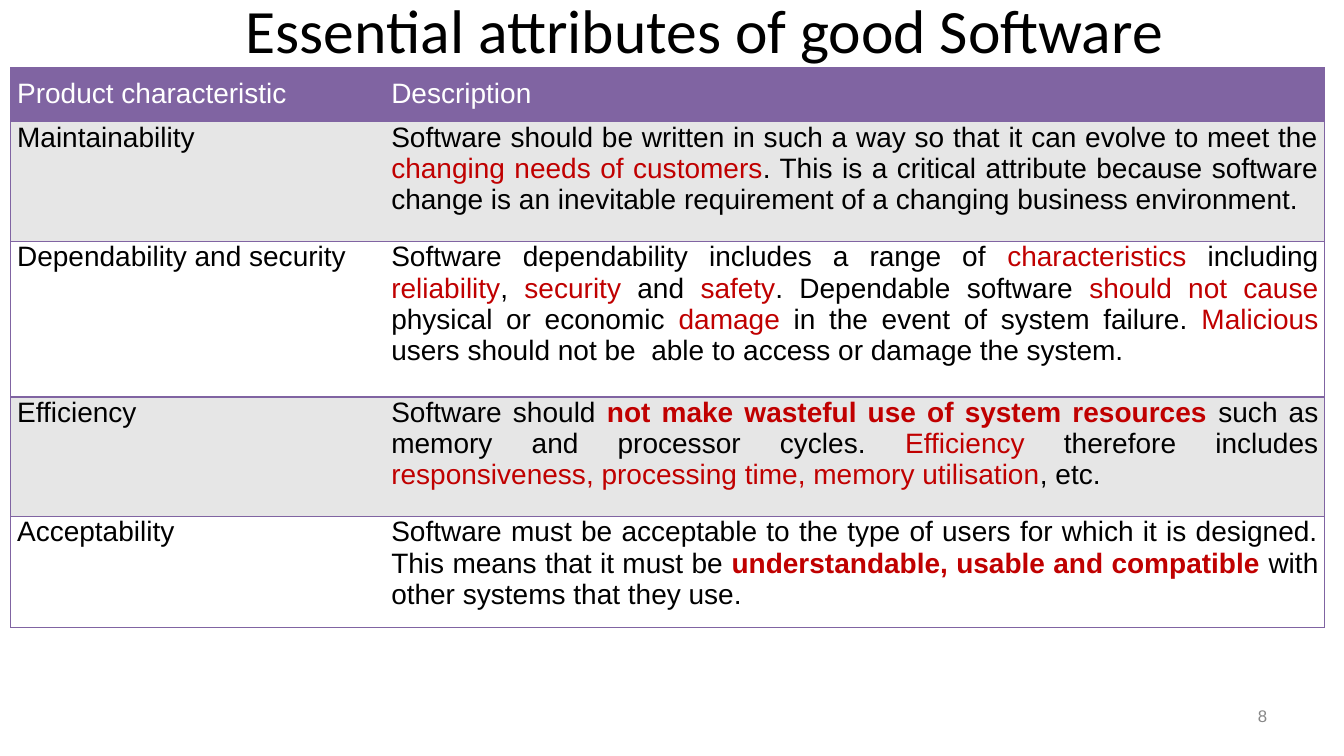
from lxml import etree
from pptx import Presentation
from pptx.dml.color import RGBColor
from pptx.enum.text import MSO_ANCHOR, PP_ALIGN
from pptx.oxml.ns import qn
from pptx.util import Pt

LEFT, CENTER, RIGHT, JUSTIFY = PP_ALIGN.LEFT, PP_ALIGN.CENTER, PP_ALIGN.RIGHT, PP_ALIGN.JUSTIFY
TOP, BOTTOM = MSO_ANCHOR.TOP, MSO_ANCHOR.BOTTOM
BLACK, WHITE, GREY, BAND = "000000", "FFFFFF", "888888", "E6E6E6"
PURPLE, RED = "8064A2", "C00000"

# Characteristic, description with |key phrases|, bold key phrases, row height
ATTRIBUTES = [
    ("Maintainability",
     "Software should be written in such a way so that it can evolve to meet the "
     "|changing needs of customers|. This is a critical attribute because software "
     "change is an inevitable requirement of a changing business environment.",
     False, 85.5),
    ("Dependability and security",
     "Software dependability includes a range of |characteristics| including "
     "|reliability|, |security| and |safety|. Dependable software |should not cause| "
     "physical or economic |damage| in the event of system failure. |Malicious| "
     "users should not be  able to access or damage the system.",
     False, 111),
    ("Efficiency",
     "Software should |not make wasteful use of system resources |such as memory and "
     "processor cycles. |Efficiency| therefore includes "
     "|responsiveness, processing time, memory utilisation|, etc.",
     True, 85.5),
    ("Acceptability",
     "Software must be acceptable to the type of users for which it is designed. "
     "This means that it must be |understandable, usable and compatible |with other "
     "systems that they use.",
     True, 78),
]
HEADER_HEIGHT = 37


def rgb(value):
    return RGBColor.from_string(value)


class Deck:
    font, size = "Arial", 20

    def __init__(self, width, height):
        self.prs = Presentation()
        self.prs.slide_width, self.prs.slide_height = Pt(width), Pt(height)
        self.s = self.prs.slides.add_slide(self.prs.slide_layouts[6])

    def style(self, r, color, size=None, font=None, bold=False):
        r.font.name, r.font.size = font or self.font, Pt(size or self.size)
        r.font.bold, r.font.color.rgb = bold, rgb(color)

    def text(self, x, y, w, h, text, size, color, align, anchor=TOP, font=None):
        tf = self.s.shapes.add_textbox(Pt(x), Pt(y), Pt(w), Pt(h)).text_frame
        tf.word_wrap, tf.vertical_anchor = True, anchor
        tf.text = text
        p = tf.paragraphs[0]
        p.alignment = align
        self.style(p.runs[0], color, size, font)

    def table(self, x, y, widths, heights):
        shape = self.s.shapes.add_table(len(heights), len(widths), Pt(x), Pt(y),
                                        Pt(sum(widths)), Pt(sum(heights)))
        table = shape.table
        table.first_row = table.horz_banding = False
        for column, width in zip(table.columns, widths):
            column.width = Pt(width)
        for row, height in zip(table.rows, heights):
            row.height = Pt(height)
        return table

    def cell(self, cell, text, fill, color, sides, top=0, align=JUSTIFY, bold_keys=False):
        """Fill a cell; phrases between bars are red, sides are the lined edges."""
        cell.margin_left = cell.margin_right = Pt(4.5)
        cell.margin_top, cell.margin_bottom = Pt(top), Pt(7.2)
        cell.fill.solid()
        cell.fill.fore_color.rgb = rgb(fill)
        p = cell.text_frame.paragraphs[0]
        p.alignment = align
        for i, part in enumerate(text.split("|")):
            key = i % 2 == 1
            r = p.add_run()
            r.text = part
            # A single word is never emphasised with weight
            self.style(r, RED if key else color, bold=key and bold_keys and " " in part
                       and "," not in part or key and bold_keys and part.endswith(" "))
        self.borders(cell, sides)

    def borders(self, cell, sides):
        tc_pr = cell._tc.get_or_add_tcPr()
        for i, side in enumerate("LRTB"):
            ln = etree.Element(qn(f"a:ln{side}"), w=str(Pt(1)))
            if side in sides:
                fill = etree.SubElement(ln, qn("a:solidFill"))
                etree.SubElement(fill, qn("a:srgbClr"), val=PURPLE)
            else:
                etree.SubElement(ln, qn("a:noFill"))
            tc_pr.insert(i, ln)


def main():
    deck = Deck(960, 540)
    deck.text(78.5, 9.4, 850, 41, "Essential attributes of good Software", 44, BLACK,
              CENTER, BOTTOM, "Calibri")
    deck.text(688.3, 500.4, 224, 28.8, "8", 12, GREY, RIGHT)

    heights = [HEADER_HEIGHT] + [row[3] for row in ATTRIBUTES]
    table = deck.table(7.7, 48.6, [267.3, 671.2], heights)
    edges = ("LTB", "RTB")
    for col, title in enumerate(("Product characteristic", "Description")):
        deck.cell(table.cell(0, col), title, PURPLE, WHITE, edges[col], top=7.2)
    for i, (name, description, bold_keys, _) in enumerate(ATTRIBUTES, 1):
        fill = BAND if i % 2 else WHITE
        deck.cell(table.cell(i, 0), name, fill, BLACK, edges[0], align=LEFT)
        deck.cell(table.cell(i, 1), description, fill, BLACK, edges[1], bold_keys=bold_keys)
    deck.prs.save("out.pptx")


if __name__ == "__main__":
    main()
